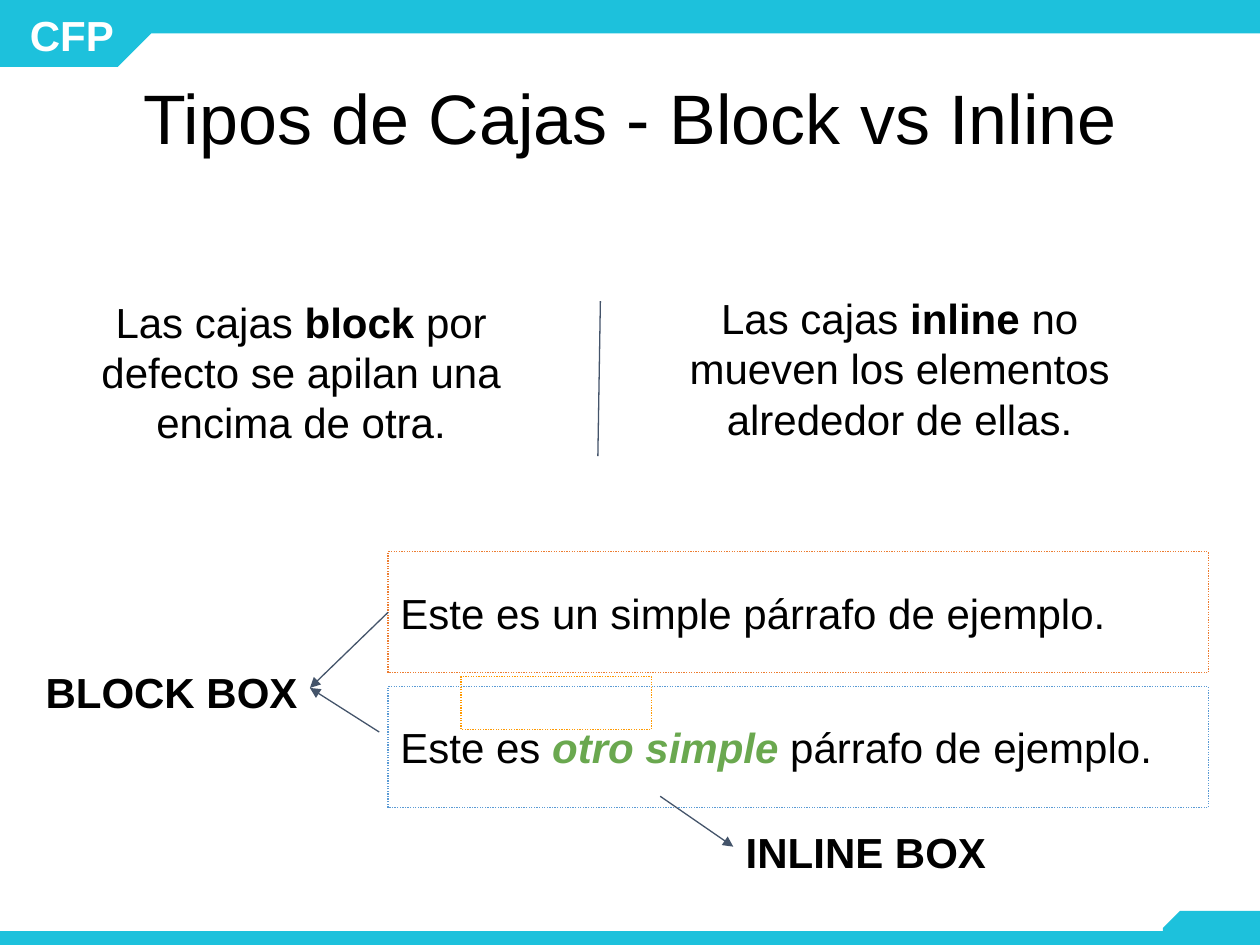
import pptx
import pptx.util
import pptx.dml.color
import pptx.enum.dml
import pptx.enum.shapes
import pptx.enum.text
import pptx.oxml.ns
import lxml.etree

RGBColor = pptx.dml.color.RGBColor
MSO_SHAPE = pptx.enum.shapes.MSO_SHAPE
PP_ALIGN = pptx.enum.text.PP_ALIGN
MSO_ANCHOR = pptx.enum.text.MSO_ANCHOR
qn = pptx.oxml.ns.qn

CYAN = RGBColor(0x1D, 0xC1, 0xDC)
WHITE = RGBColor(0xFF, 0xFF, 0xFF)
BLACK = RGBColor(0x00, 0x00, 0x00)
SLATE = RGBColor(0x44, 0x54, 0x6A)
ORANGE = RGBColor(0xED, 0x7D, 0x31)
BLUE = RGBColor(0x5B, 0x9B, 0xD5)
AMBER = RGBColor(0xFF, 0x99, 0x00)
GREEN = RGBColor(0x6A, 0xA8, 0x4F)

COLS, ROWS = 100, 75
WIDTH, HEIGHT = pptx.util.Inches(10), pptx.util.Inches(7.5)


def col(n):
    return round(WIDTH * n / COLS)


def row(n):
    return round(HEIGHT * n / ROWS)


def place(x, y, w, h):
    return col(x), row(y), col(w), row(h)


def write(sp, runs, align=PP_ALIGN.LEFT, anchor=MSO_ANCHOR.TOP, size=24,
          color=BLACK, bold=False, pad=1):
    tf = sp.text_frame
    tf.word_wrap = True
    tf.vertical_anchor = anchor
    tf.margin_left = tf.margin_right = col(1)
    tf.margin_top = tf.margin_bottom = row(pad)
    p = tf.paragraphs[0]
    p.alignment = align
    p.font.name = "Arial"
    p.font.size = pptx.util.Pt(size)
    p.font.bold = bold
    p.font.color.rgb = color
    for text, style in runs:
        r = p.add_run()
        r.text = text
        if "bold" in style:
            r.font.bold = True
        if "italic" in style:
            r.font.italic = True
        if "green" in style:
            r.font.color.rgb = GREEN
    return p


def add_text(s, box, runs, **style):
    return write(s.shapes.add_textbox(*place(*box)), runs, **style)


def add_block(s, kind, box):
    sp = s.shapes.add_shape(kind, *place(*box))
    sp.shadow.inherit = False
    sp.fill.solid()
    sp.fill.fore_color.rgb = CYAN
    sp.line.fill.background()
    return sp


def add_tab(s, box, cut, rotation=0):
    sp = add_block(s, MSO_SHAPE.SNIP_1_RECTANGLE, box)
    sp.adjustments[0] = cut
    sp.rotation = rotation
    sp._element.spPr.find(qn("a:xfrm")).set("flipH", "1")


def add_frame(s, box, color):
    sp = s.shapes.add_shape(MSO_SHAPE.RECTANGLE, *place(*box))
    sp.shadow.inherit = False
    sp.fill.background()
    sp.line.color.rgb = color
    sp.line.width = pptx.util.Pt(0.75)
    sp.line.dash_style = pptx.enum.dml.MSO_LINE.ROUND_DOT
    return sp


def add_line(s, x1, y1, x2, y2, arrow=True):
    c = s.shapes.add_connector(pptx.enum.shapes.MSO_CONNECTOR.STRAIGHT,
                               col(x1), row(y1), col(x2), row(y2))
    c.line.color.rgb = SLATE
    c.line.width = pptx.util.Pt(0.75)
    if arrow:
        lxml.etree.SubElement(c.line._get_or_add_ln(), qn("a:tailEnd"), type="triangle")
    lxml.etree.SubElement(c._element.spPr, qn("a:effectLst"))


def add_header(s, x, y, w, h):
    add_block(s, MSO_SHAPE.RECTANGLE, (x + 11.2, y, w - 11.2, h / 2))
    add_tab(s, (x, y, 12, h), 0.5, 180)
    add_text(s, (x + 0.7, y + 0.4, 10, 4.7), [("CFP", "")], align=PP_ALIGN.CENTER,
             anchor=MSO_ANCHOR.MIDDLE, color=WHITE, bold=True)


def add_footer(s, x, y, w, h):
    add_block(s, MSO_SHAPE.RECTANGLE, (x, y + 1.6, w, h - 1.6))
    add_tab(s, (x + w - 7.7, y, 7.7, h), 0.58)


def add_title(s, *box):
    p = add_text(s, box, [("Tipos de Cajas - Block vs Inline", "")], size=40,
                 align=PP_ALIGN.CENTER, anchor=MSO_ANCHOR.MIDDLE, pad=0.5)
    p.line_spacing = 0.9


def add_comparison(s, x, y, w, h):
    add_text(s, (x, y + 0.3, 40, 12.1), [
        ("Las cajas ", ""), ("block ", "bold"),
        ("por defecto se apilan una encima de otra.", "")], align=PP_ALIGN.CENTER)
    add_text(s, (x + w - 40, y, 40, 12.3), [
        ("Las cajas ", ""), ("inline ", "bold"),
        ("no mueven los elementos alrededor de ellas.", "")], align=PP_ALIGN.CENTER)
    add_line(s, x + w / 2, y + 1.7, x + w / 2 - 0.2, y + h, arrow=False)


def add_example(s, x, y, w, h):
    left, height, pitch = x + 30.8, 9.6, 10.7
    paragraphs = [
        (ORANGE, [("Este es un simple párrafo de ejemplo.", "")]),
        (BLUE, [("Este es ", ""), ("otro simple", "bold italic green"),
                (" párrafo de ejemplo.", "")]),
    ]
    for i, (color, runs) in enumerate(paragraphs):
        sp = add_frame(s, (left, y + i * pitch, w - 30.8, height), color)
        write(sp, runs, anchor=MSO_ANCHOR.MIDDLE)
    add_frame(s, (left + 5.8, y + 9.9, 15.1, 4.2), AMBER)

    add_text(s, (x, y + 8.1, 24.6, 5.3), [("BLOCK BOX", "")],
             align=PP_ALIGN.RIGHT, bold=True)
    add_line(s, left, y + height / 2, x + 24.6, y + 10.8)
    add_line(s, left - 0.7, y + 14.3, x + 24.6, y + 10.8)

    add_text(s, (x + 58.2, y + h - 5.3, 29.5, 5.3), [("INLINE BOX", "")], bold=True)
    add_line(s, x + 52.4, y + 19.4, x + 58.2, y + 23.4)


def main():
    prs = pptx.Presentation()
    prs.slide_width, prs.slide_height = WIDTH, HEIGHT
    s = prs.slides.add_slide(prs.slide_layouts[6])
    s.background.fill.solid()
    s.background.fill.fore_color.rgb = WHITE
    add_footer(s, 0, 72.3, COLS, 2.7)
    add_header(s, 0, 0, COLS, 5.3)
    add_title(s, 6.9, 3, 86.2, 13.3)
    add_comparison(s, 3.9, 22.2, 87.5, 14)
    add_example(s, 0, 43.8, 95.9, 26.1)
    prs.save("out.pptx")


if __name__ == "__main__":
    main()
